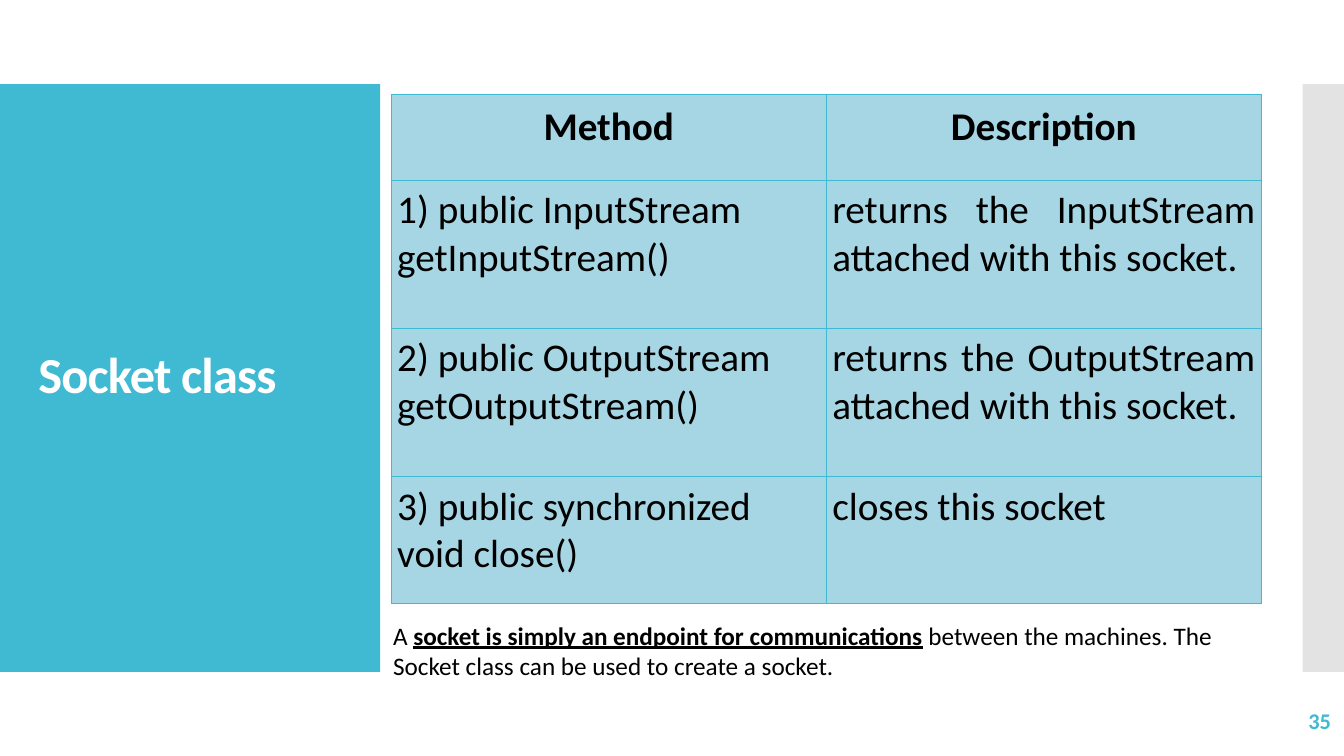
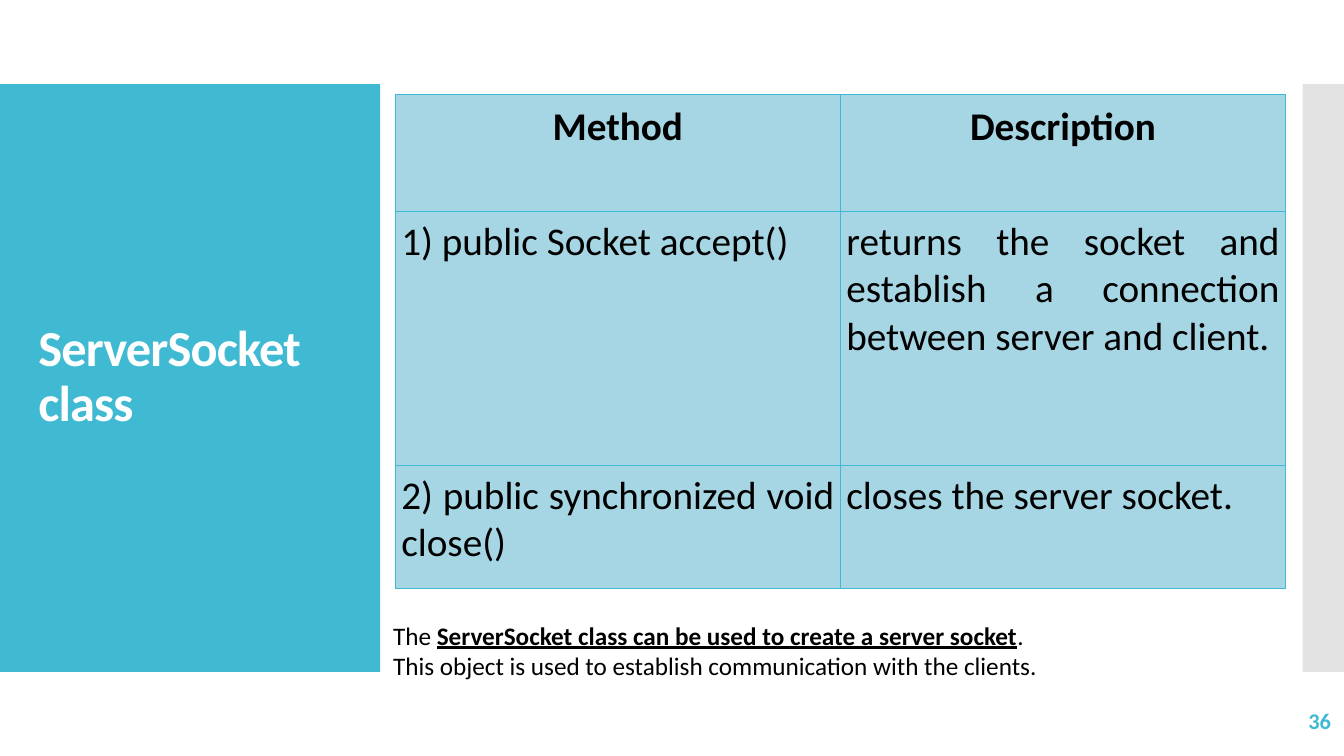
"""Build two slides on the methods of the Java socket classes."""
from lxml import etree
from pptx import Presentation
from pptx.dml.color import RGBColor
from pptx.enum.shapes import MSO_SHAPE
from pptx.enum.text import MSO_ANCHOR, MSO_AUTO_SIZE, PP_ALIGN
from pptx.oxml.ns import qn
from pptx.util import Inches, Pt

LEFT, CENTER, RIGHT, JUSTIFY = PP_ALIGN.LEFT, PP_ALIGN.CENTER, PP_ALIGN.RIGHT, PP_ALIGN.JUSTIFY
MIDDLE, GROW, RECT = MSO_ANCHOR.MIDDLE, MSO_AUTO_SIZE.SHAPE_TO_FIT_TEXT, MSO_SHAPE.RECTANGLE
TITLE_ONLY = 5

FONT = "Calibri"
COLORS = {"teal": "40BAD2", "gray": "C8C8C8", "cell": "A6D5E3", "text": "000000", "white": "FFFFFF"}
WIDTH, HEIGHT = 13.33, 7.5
BAND_TOP, BAND_HEIGHT = HEIGHT / 9, HEIGHT * 7 / 9
BANDS = [(0, 3.77, "teal", None), (12.92, 0.41, "gray", 50)]
TITLE_BOX = (0.28, 1.23, 3.22, 5.03)
NOTE_BOX = (3.8, 6.1, 8.77, 0.71)
NUMBER_BOX = (11.63, 6.95, 1.67, 0.4)
TABLE_TOP = 0.94

HEADER = ("Method", "Description")
SLIDES = [
    {"title": "Socket class", "number": 35, "left": 3.88, "width": 8.63,
     "heights": (0.85, 1.47, 1.47, 1.26), "aligns": (LEFT, JUSTIFY),
     "rows": [
         ("1) public InputStream getInputStream()",
          "returns the InputStream attached with this socket."),
         ("2) public OutputStream getOutputStream()",
          "returns the OutputStream attached with this socket."),
         ("3) public synchronized void close()", "closes this socket")],
     "note": [[("A ", False), ("socket is simply an endpoint for communications", True),
               (" between the machines. The Socket class can be used to create a socket.", False)]]},
    {"title": "ServerSocket class", "number": 36, "left": 3.92, "width": 8.83,
     "heights": (1.16, 2.52, 1.22), "aligns": (JUSTIFY, JUSTIFY),
     "rows": [
         ("1) public Socket accept()",
          "returns the socket and establish a connection between server and client."),
         ("2) public synchronized void close()", "closes the server socket.")],
     "note": [[("The ", False), ("ServerSocket class can be used to create a server socket", True),
               (".", False)],
              [("This object is used to establish communication with the clients.", False)]]},
]


def rgb(name):
    return RGBColor.from_string(COLORS[name])


def inches(box):
    return [Inches(v) for v in box]


def add_text(p, text, size=18, color="text", bold=False, underline=False, align=LEFT):
    p.alignment = align
    r = p.add_run()
    r.text = text
    r.font.name, r.font.size, r.font.color.rgb = FONT, Pt(size), rgb(color)
    r.font.bold, r.font.underline = bold, underline


def add_bands(s, layout):
    for i, (left, width, color, alpha) in enumerate(BANDS):
        sp = s.shapes.add_shape(RECT, *inches((left, BAND_TOP, width, BAND_HEIGHT)))
        sp.shadow.inherit = False
        sp.fill.solid()
        sp.fill.fore_color.rgb = rgb(color)
        sp.line.fill.background()
        if alpha:
            fill = sp.element.spPr.find(qn("a:solidFill"))
            etree.SubElement(fill[0], qn("a:alpha"), val=str(alpha * 1000))
        layout.shapes.element.insert(2 + i, sp.element)


def add_title(s, text):
    sp = s.shapes.title
    sp.left, sp.top, sp.width, sp.height = inches(TITLE_BOX)
    tf = sp.text_frame
    tf.word_wrap, tf.vertical_anchor = True, MIDDLE
    tf.paragraphs[0].line_spacing = 0.9
    add_text(tf.paragraphs[0], text, size=36, color="white", bold=True)
    for props in sp.element.iter(qn("a:rPr")):
        props.set("spc", "-60")


def add_borders(frame):
    for props in frame.element.iter(qn("a:tcPr")):
        for i, side in enumerate(("lnL", "lnR", "lnT", "lnB")):
            ln = etree.Element(qn(f"a:{side}"), w=str(Pt(0.75)))
            fill = etree.SubElement(ln, qn("a:solidFill"))
            etree.SubElement(fill, qn("a:srgbClr"), val=COLORS["teal"])
            props.insert(i, ln)


def add_methods(s, content):
    rows, heights = [HEADER, *content["rows"]], content["heights"]
    box = inches((content["left"], TABLE_TOP, content["width"], sum(heights)))
    frame = s.shapes.add_table(len(rows), len(HEADER), *box)
    table = frame.table
    table.first_row = table.horz_banding = False
    for i, (row, height) in enumerate(zip(rows, heights)):
        table.rows[i].height = Inches(height)
        header = i == 0
        for j, text in enumerate(row):
            cell = table.cell(i, j)
            cell.fill.solid()
            cell.fill.fore_color.rgb = rgb("cell")
            inset = Inches(0.08 if header else 0.06)
            cell.margin_left = cell.margin_right = cell.margin_top = cell.margin_bottom = inset
            add_text(cell.text_frame.paragraphs[0], text, size=28, bold=header,
                     align=CENTER if header else content["aligns"][j])
    add_borders(frame)


def add_note(s, lines):
    tf = s.shapes.add_textbox(*inches(NOTE_BOX)).text_frame
    tf.word_wrap, tf.auto_size = True, GROW
    for i, line in enumerate(lines):
        p = tf.add_paragraph() if i else tf.paragraphs[0]
        for text, key in line:
            add_text(p, text, bold=key, underline=key)


def add_number(s, number):
    tf = s.shapes.add_textbox(*inches(NUMBER_BOX)).text_frame
    tf.word_wrap, tf.vertical_anchor = True, MIDDLE
    add_text(tf.paragraphs[0], str(number), size=16, color="teal", bold=True, align=RIGHT)


prs = Presentation()
prs.slide_width, prs.slide_height = inches((WIDTH, HEIGHT))
layout = prs.slide_layouts[TITLE_ONLY]
for i, content in enumerate(SLIDES):
    s = prs.slides.add_slide(layout)
    if i == 0:
        add_bands(s, layout)
    add_title(s, content["title"])
    add_methods(s, content)
    add_note(s, content["note"])
    add_number(s, content["number"])
prs.save("out.pptx")
